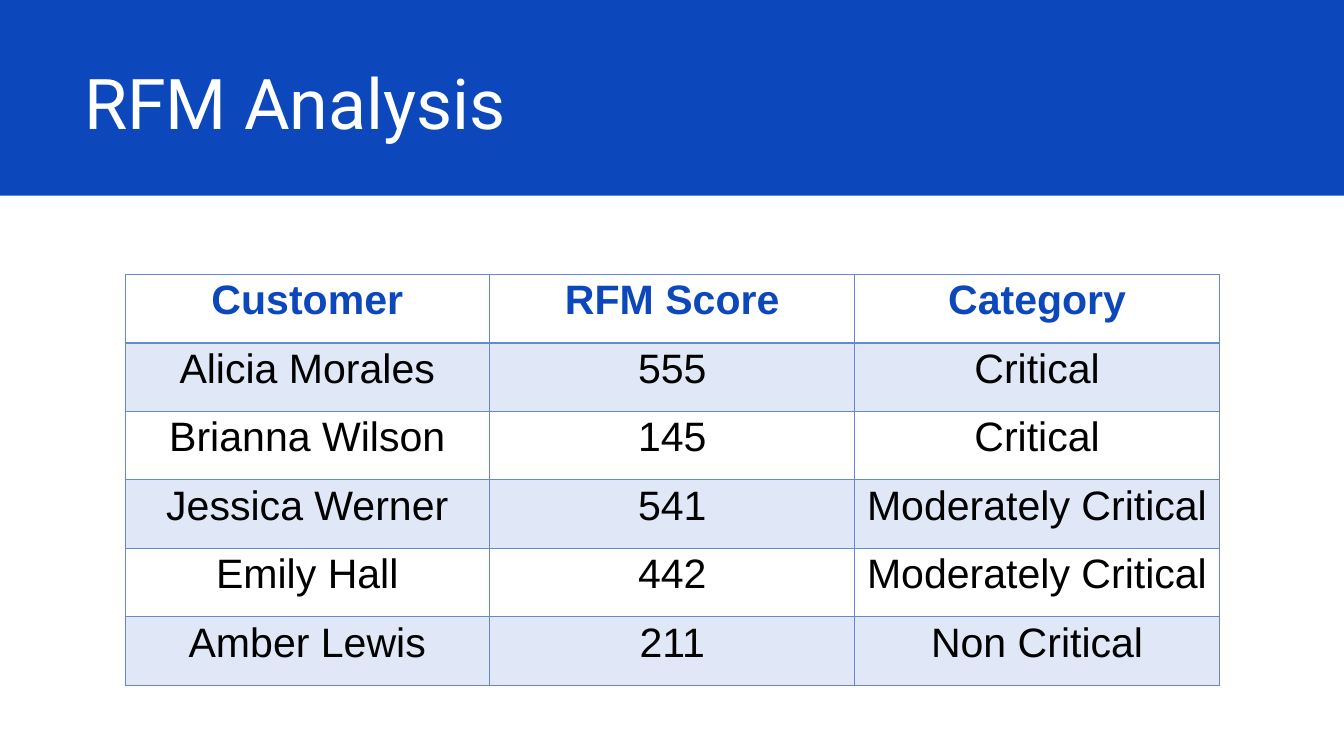
from dataclasses import dataclass

import lxml.etree
import pptx
import pptx.dml.color
import pptx.enum.shapes
import pptx.enum.text
import pptx.oxml.ns
import pptx.util

Inches = pptx.util.Inches
Pt = pptx.util.Pt
qn = pptx.oxml.ns.qn


@dataclass(frozen=True)
class Theme:
    blue: str = "0C48BB"
    line: str = "6488D2"
    white: str = "FFFFFF"
    black: str = "000000"
    tint: int = 20
    title: int = 75
    body: int = 44
    head_font: str = "Roboto"
    body_font: str = "Arial"


THEME = Theme()
ROWS = [
    ("Customer", "RFM Score", "Category"),
    ("Alicia Morales", "555", "Critical"),
    ("Brianna Wilson", "145", "Critical"),
    ("Jessica Werner", "541", "Moderately Critical"),
    ("Emily Hall", "442", "Moderately Critical"),
    ("Amber Lewis", "211", "Non Critical"),
]


def rgb(code):
    return pptx.dml.color.RGBColor.from_string(code)


def add_run(para, text, size, font, color, bold=False):
    run = para.add_run()
    run.text = text
    run.font.size = Pt(size)
    run.font.name = font
    run.font.color.rgb = rgb(color)
    run.font.bold = bold


def add_banner(slide, left, top, width, height):
    """Draw the blue band with the slide title on it."""
    band = slide.shapes.add_shape(
        pptx.enum.shapes.MSO_SHAPE.RECTANGLE,
        Inches(left), Inches(top), Inches(width), Inches(height))
    band.shadow.inherit = False
    band.fill.solid()
    band.fill.fore_color.rgb = rgb(THEME.blue)
    band.line.fill.background()

    box = slide.shapes.add_textbox(
        Inches(left + 1.25), Inches(top + 0.63), Inches(14.48), Inches(1.51))
    frame = box.text_frame
    frame.word_wrap = True
    frame.margin_left = frame.margin_right = 0
    frame.margin_top = frame.margin_bottom = 0
    para = frame.paragraphs[0]
    para.line_spacing = 1.2
    add_run(para, "RFM Analysis", THEME.title, THEME.head_font, THEME.white)


def set_border(cell, side, width):
    props = cell._tc.get_or_add_tcPr()
    line = lxml.etree.SubElement(props, qn(f"a:ln{side}"), w=str(Pt(width)))
    fill = lxml.etree.SubElement(line, qn("a:solidFill"))
    lxml.etree.SubElement(fill, qn("a:srgbClr"), val=THEME.line)


def set_fill(cell, tinted):
    if not tinted:
        cell.fill.background()
        return
    cell.fill.solid()
    cell.fill.fore_color.rgb = rgb(THEME.line)
    color = cell._tc.tcPr.find(qn("a:solidFill")).find(qn("a:srgbClr"))
    lxml.etree.SubElement(color, qn("a:alpha"), val=str(THEME.tint * 1000))


def add_scores(slide, left, top, width, height):
    """Draw the customer table, with a heavier rule below its header."""
    table = slide.shapes.add_table(
        len(ROWS), len(ROWS[0]),
        Inches(left), Inches(top), Inches(width), Inches(height)).table
    table.first_row = table.horz_banding = False
    for row in table.rows:
        row.height = Inches(height / len(ROWS))
    for r, texts in enumerate(ROWS):
        head = r == 0
        for c, text in enumerate(texts):
            cell = table.cell(r, c)
            for side in "LRTB":
                heavy = (head and side == "B") or (r == 1 and side == "T")
                set_border(cell, side, 2 if heavy else 1)
            set_fill(cell, r % 2 == 1)
            para = cell.text_frame.paragraphs[0]
            para.alignment = pptx.enum.text.PP_ALIGN.CENTER
            add_run(para, text, THEME.body, THEME.body_font,
                    THEME.blue if head else THEME.black, head)


def main():
    deck = pptx.Presentation()
    deck.slide_width = Inches(20)
    deck.slide_height = Inches(11.25)
    slide = deck.slides.add_slide(deck.slide_layouts[6])
    add_banner(slide, 0, 0, 20, 2.91)
    add_scores(slide, 1.86, 4.08, 16.29, 6.12)
    deck.save("out.pptx")


if __name__ == "__main__":
    main()
